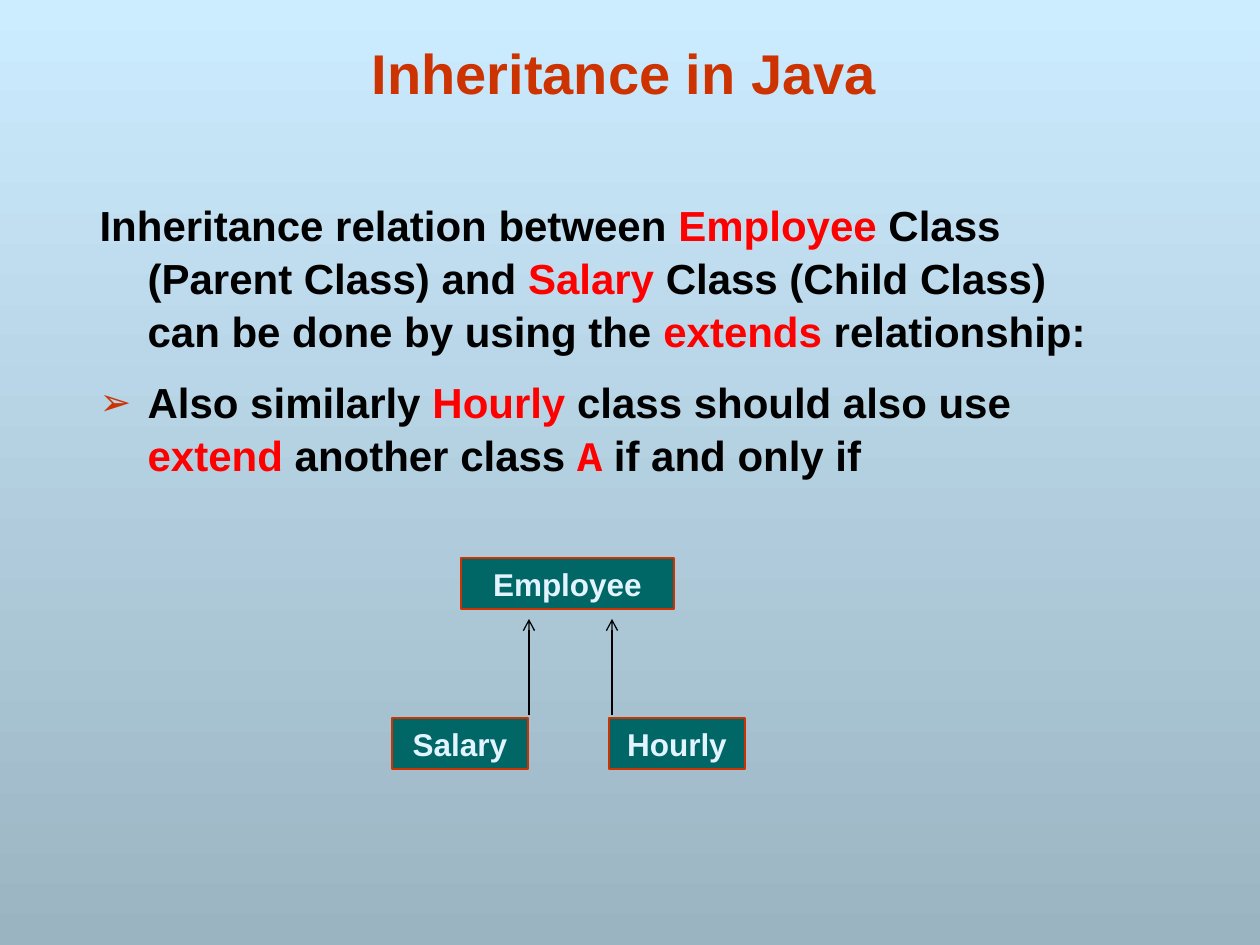
from lxml.etree import SubElement
from pptx import Presentation
from pptx.dml.color import RGBColor
from pptx.enum.shapes import MSO_CONNECTOR as Connector, MSO_SHAPE as Shape
from pptx.enum.text import MSO_ANCHOR as Anchor, MSO_AUTO_SIZE as AutoSize, PP_ALIGN as Align
from pptx.oxml.ns import qn
from pptx.util import Emu, Inches, Pt

SKY = RGBColor(0xCC, 0xEC, 0xFF)
SLATE = RGBColor(0x9B, 0xB4, 0xC2)
RUST = RGBColor(0xCC, 0x33, 0x00)
RED = RGBColor(0xFF, 0x00, 0x00)
BLACK = RGBColor(0x00, 0x00, 0x00)
TEAL = RGBColor(0x00, 0x66, 0x66)
ICE = RGBColor(0xE2, 0xF4, 0xFF)


def px(length):
    return Emu(round(length * 914400 / 126))


def set_all(target, values):
    for name, value in values.items():
        setattr(target, name, value)


class ClassSlide:
    font_name = "Arial"
    code_font = "Courier New"

    def __init__(self, deck):
        self.slide = deck.slides.add_slide(deck.slide_layouts[1])

    def background(self, top_color, bottom_color):
        fill = self.slide.background.fill
        fill.gradient()
        fill.gradient_angle = 270
        for stop, color, position in zip(fill.gradient_stops, (top_color, bottom_color), (0, 1)):
            stop.color.rgb = color
            stop.position = position

    def place(self, shape, left, top, width, height):
        set_all(shape, {"left": px(left), "top": px(top), "width": px(width), "height": px(height)})

    def add_span(self, para, text, size, color, font_name=None):
        span = para.add_run()
        span.text = text
        set_all(span.font, {"name": font_name or self.font_name, "size": Pt(size), "bold": True})
        span.font.color.rgb = color

    def title(self, text, *place):
        title = self.slide.shapes.title
        self.place(title, *place)
        set_all(title.text_frame, {"vertical_anchor": Anchor.BOTTOM, "auto_size": AutoSize.NONE})
        para = title.text_frame.paragraphs[0]
        para.alignment = Align.CENTER
        self.add_span(para, text, 32, RUST)

    def set_bullet(self, para, char):
        """Give the paragraph a hanging indent, with a bullet if char is set."""
        props = para._p.get_or_add_pPr()
        props.set("marL", str(px(48)))
        props.set("indent", str(-px(48)))
        if not char:
            SubElement(props, qn("a:buNone"))
            return
        color = SubElement(props, qn("a:buClr"))
        SubElement(color, qn("a:srgbClr"), val=str(RUST))
        SubElement(props, qn("a:buSzPct"), val="90000")
        SubElement(props, qn("a:buFont"), typeface=self.font_name)
        SubElement(props, qn("a:buChar"), char=char)

    def body(self, items, *place):
        """Fill the body from (bullet, spans) pairs; a span is text, color and optional font."""
        body = self.slide.placeholders[1]
        self.place(body, *place)
        frame = body.text_frame
        frame.auto_size = AutoSize.NONE
        for index, (bullet, spans) in enumerate(items):
            para = frame.add_paragraph() if index else frame.paragraphs[0]
            self.set_bullet(para, bullet)
            set_all(para, {"space_before": Pt(10.5 if index else 0), "line_spacing": 1.05})
            for text, color, *font_name in spans:
                self.add_span(para, text, 24, color, *font_name)

    def class_box(self, name, left, top, width, height=51):
        box = self.slide.shapes.add_shape(
            Shape.RECTANGLE, px(left), px(top), px(width), px(height))
        box.shadow.inherit = False
        box.fill.solid()
        box.fill.fore_color.rgb = TEAL
        box.line.color.rgb = RUST
        box.line.width = Pt(0.75)
        para = box.text_frame.paragraphs[0]
        para.alignment = Align.CENTER
        self.add_span(para, name, 18, ICE)

    def arrow_up(self, x, bottom, top):
        arrow = self.slide.shapes.add_connector(
            Connector.STRAIGHT, px(x), px(bottom), px(x), px(top))
        arrow.line.color.rgb = BLACK
        arrow.line.width = Pt(0.75)
        SubElement(arrow.line._get_or_add_ln(), qn("a:tailEnd"), type="arrow")
        SubElement(arrow._element.spPr, qn("a:effectLst"))


def main():
    deck = Presentation()
    set_all(deck, {"slide_width": Inches(10), "slide_height": Inches(7.5)})
    page = ClassSlide(deck)
    page.background(SKY, SLATE)
    page.title("Inheritance in Java ", 76, 28, 1112, 84)
    page.body([
        (None, [
            ("Inheritance relation between ", BLACK), ("Employee ", RED),
            ("Class (Parent Class) and ", BLACK), ("Salary", RED),
            (" Class (Child Class) can be done by using the ", BLACK),
            ("extends ", RED), ("relationship:", BLACK)]),
        ("➢", [
            ("Also similarly ", BLACK), ("Hourly", RED),
            (" class should also use ", BLACK), ("extend", RED),
            (" another class ", BLACK), ("A", RED, page.code_font),
            (" if and only if", BLACK)]),
    ], 87, 191, 1023, 342)

    page.class_box("Employee", 461, 558, 213)
    for child, left in (("Salary", 392), ("Hourly", 609)):
        page.class_box(child, left, 718, 136)
    for x in (529, 612):
        page.arrow_up(x, 715, 619)
    deck.save("out.pptx")


if __name__ == "__main__":
    main()
